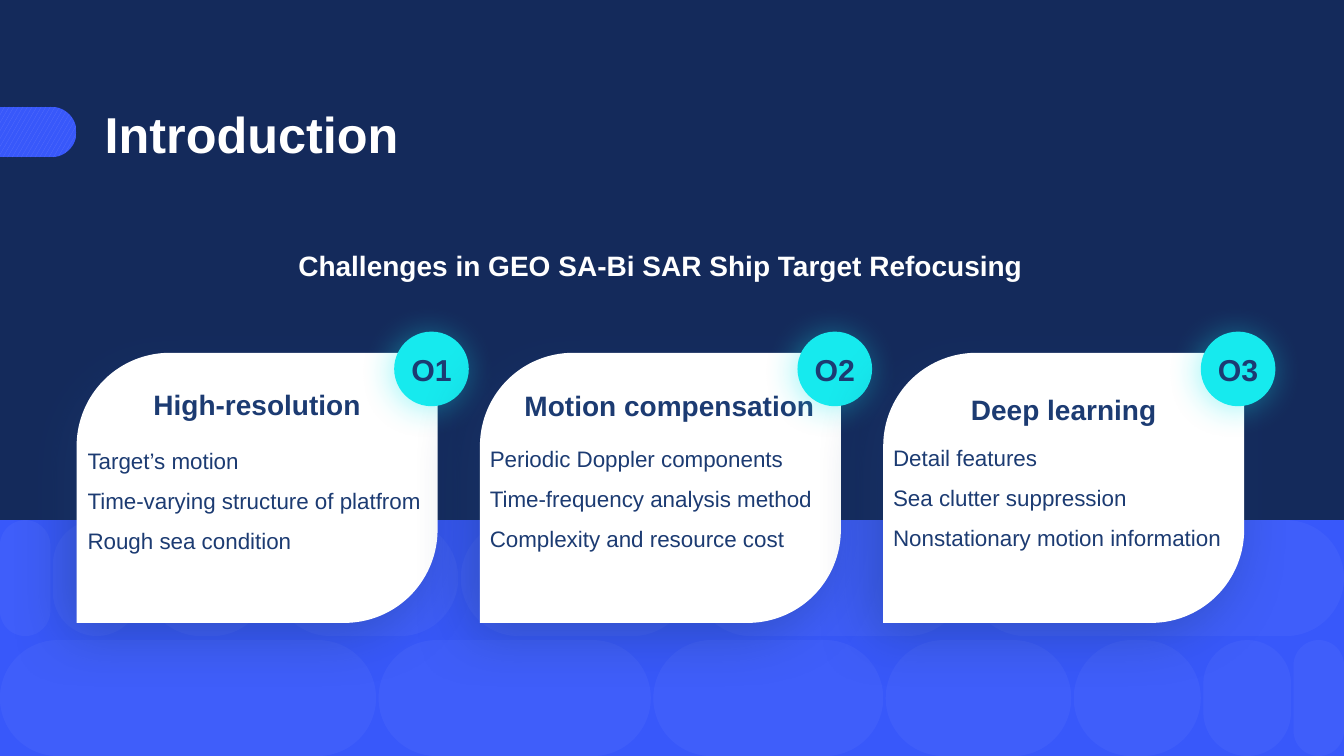
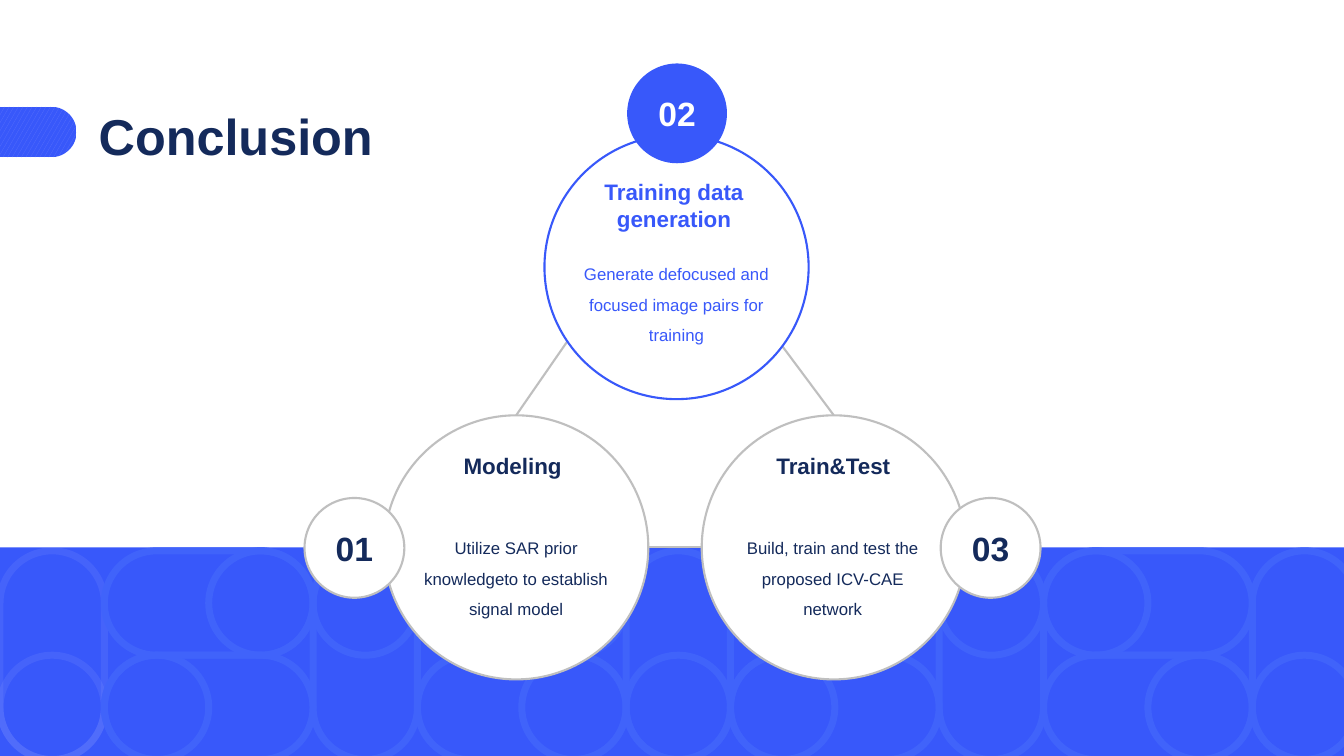
from math import cos, pi, sin

from lxml import etree
from pptx import Presentation
from pptx.dml.color import RGBColor
from pptx.enum.dml import MSO_PATTERN
from pptx.enum.shapes import MSO_CONNECTOR, MSO_SHAPE
from pptx.enum.text import MSO_ANCHOR, PP_ALIGN
from pptx.oxml.ns import qn
from pptx.util import Inches, Pt

RECT = MSO_SHAPE.RECTANGLE
PILL = MSO_SHAPE.ROUNDED_RECTANGLE
CIRCLE = MSO_SHAPE.OVAL
LEAF = MSO_SHAPE.ROUND_2_DIAG_RECTANGLE
STRAIGHT = MSO_CONNECTOR.STRAIGHT
CONFETTI = MSO_PATTERN.LARGE_CONFETTI
LEFT, CENTER = PP_ALIGN.LEFT, PP_ALIGN.CENTER
TOP, MIDDLE = MSO_ANCHOR.TOP, MSO_ANCHOR.MIDDLE

NAVY = RGBColor(0x14, 0x2A, 0x5B)
INK = RGBColor(0x1C, 0x3B, 0x72)
BLUE = RGBColor(0x38, 0x58, 0xFA)
LIGHT_BLUE = RGBColor(0x5C, 0x73, 0xFB)
RING = RGBColor(0x40, 0x63, 0xFA)
PALE_RING = RGBColor(0x88, 0x9B, 0xFC)
CYAN = RGBColor(0x16, 0xEA, 0xEE)
GRAY = RGBColor(0xBF, 0xBF, 0xBF)
WHITE = RGBColor(0xFF, 0xFF, 0xFF)

FONT = "Arial"
SLIDE_W, SLIDE_H = 13.33, 7.5


def set_alpha(element, percent):
    for color in element.iter(qn("a:srgbClr")):
        etree.SubElement(color, qn("a:alpha"), val=str(percent * 1000))


def add_shadow(sp, color, blur, distance):
    effects = sp._element.spPr.find(qn("a:effectLst"))
    shadow = etree.SubElement(
        effects, qn("a:outerShdw"), blurRad=str(Pt(blur)), dist=str(Pt(distance)),
        dir=str(135 * 60000), algn="tr", rotWithShape="0")
    etree.SubElement(shadow, qn("a:srgbClr"), val=str(color))
    set_alpha(shadow, 40)


def paint(sp, fill=None, line=None, width=1.5):
    sp.shadow.inherit = False
    if fill is None:
        sp.fill.background()
    else:
        sp.fill.solid()
        sp.fill.fore_color.rgb = fill
    if line is None:
        sp.line.fill.background()
    else:
        sp.line.color.rgb = line
        sp.line.width = Pt(width)


def add_box(s, kind, x, y, w, h, adj=(), **style):
    sp = s.shapes.add_shape(kind, Inches(x), Inches(y), Inches(w), Inches(h))
    for i, value in enumerate(adj):
        sp.adjustments[i] = value
    paint(sp, **style)
    return sp


def write(tf, lines, size, color, bold=False, align=LEFT, spacing=None, anchor=TOP):
    tf.word_wrap = True
    tf.vertical_anchor = anchor
    for i, line in enumerate(lines):
        p = tf.paragraphs[0] if i == 0 else tf.add_paragraph()
        p.alignment = align
        if spacing:
            p.line_spacing = spacing
        r = p.add_run()
        r.text = line
        r.font.name = FONT
        r.font.size = Pt(size)
        r.font.bold = bold
        r.font.color.rgb = color


def add_text(s, x, y, w, h, lines, **style):
    sp = s.shapes.add_textbox(Inches(x), Inches(y), Inches(w), Inches(h))
    write(sp.text_frame, lines, **style)


def add_badge(s, x, y, diameter, label, size, color, **style):
    sp = add_box(s, CIRCLE, x, y, diameter, diameter, **style)
    tf = sp.text_frame
    tf.margin_left = tf.margin_right = 0
    write(tf, [label], size=size, color=color, bold=True, align=CENTER, anchor=MIDDLE)
    return sp


def add_link(s, start, end, target=None):
    line = s.shapes.add_connector(STRAIGHT, *(Inches(v) for v in start + end))
    if target is not None:
        line.end_connect(target, 0)
    line.line.color.rgb = GRAY
    line.line.width = Pt(1.5)
    etree.SubElement(line._element.spPr, qn("a:effectLst"))


def add_marker(s):
    cx, cy, radius, steps = 0.51, 1.31, 0.25, 32
    angles = [pi * i / steps - pi / 2 for i in range(steps + 1)]
    arc = [(Inches(cx + radius * cos(a)), Inches(cy + radius * sin(a))) for a in angles]
    builder = s.shapes.build_freeform(0, Inches(cy - radius))
    builder.add_line_segments(arc + [(0, Inches(cy + radius))], close=True)
    sp = builder.convert_to_shape()
    paint(sp, fill=BLUE)
    sp.fill.patterned()
    sp.fill.pattern = CONFETTI
    sp.fill.fore_color.rgb = LIGHT_BLUE
    sp.fill.back_color.rgb = BLUE


def start_slide(prs, background, band_top, title, title_x, title_y, title_color):
    s = prs.slides.add_slide(prs.slide_layouts[6])
    s.background.fill.solid()
    s.background.fill.fore_color.rgb = background
    add_box(s, RECT, 0, band_top, SLIDE_W, SLIDE_H - band_top, fill=BLUE)
    add_marker(s)
    add_text(s, title_x, title_y, 4.44, 0.79, [title], size=36, color=title_color, bold=True)
    return s


def add_pill_rows(s):
    widths = [3.73, 2.7, 2.28, 1.84, 1.26, 0.87, 0.5]
    gap = (SLIDE_W - sum(widths)) / (len(widths) - 1)
    for y, row in ((5.16, widths[::-1]), (6.35, widths)):
        x = 0
        for w in row:
            sp = add_box(s, PILL, x, y, w, 1.15, adj=[0.5], fill=WHITE)
            set_alpha(sp._element.spPr, 4)
            x += w + gap


def add_ring_pattern(s):
    unit, top = 1.035, 5.465
    cycle = [
        [(0, 0, 1, 2), (0, 1, 1, 1)],
        [(0, 1, 2, 1), (0, 1, 1, 1), (0, 0, 2, 1), (1, 0, 1, 1)],
        [],
        [(0, 0, 1, 2), (0, 0, 1, 1)],
        [(0, 0, 2, 1), (0, 0, 1, 1), (0, 1, 2, 1), (1, 1, 1, 1)],
        [],
    ]
    for column in range(13):
        for dx, dy, w, h in cycle[column % len(cycle)]:
            kind, adj = (CIRCLE, []) if w == h else (PILL, [0.5])
            sp = add_box(s, kind, (column + dx) * unit, top + dy * unit, w * unit, h * unit,
                         adj=adj, line=RING if column else PALE_RING, width=5)
            if column == 0:
                set_alpha(sp._element.spPr, 17)


def add_card(s, x, label, title, title_y, title_w, lines, body_x, body_y):
    card = add_box(s, LEAF, x, 3.5, 3.58, 2.68, adj=[0.345, 0], fill=WHITE)
    add_shadow(card, INK, 41, 11)
    add_text(s, x + 0.27, title_y, title_w, 0.45, [title],
             size=20, color=INK, bold=True, align=CENTER)
    add_text(s, body_x, body_y, 3.6, 1.39, lines, size=16, color=INK, spacing=1.5)
    badge = add_badge(s, x + 3.15, 3.29, 0.74, label, 21.6, INK, fill=CYAN)
    add_shadow(badge, CYAN, 24, 3)


def add_stage_text(s, color, title, title_x, title_y, body, body_x, body_y):
    add_text(s, title_x, title_y, 1.71, 0.37 if len(title) == 1 else 0.64, title,
             size=16, color=color, bold=True, align=CENTER)
    add_text(s, body_x, body_y, 2.1, 1.06, [body],
             size=12, color=color, align=CENTER, spacing=1.5)


def build_introduction(prs):
    s = start_slide(prs, NAVY, 5.16, "Introduction", 0.94, 0.97, WHITE)
    add_pill_rows(s)
    add_text(s, 2.86, 2.25, 7.39, 0.7, ["Challenges in GEO SA-Bi SAR Ship Target Refocusing"],
             size=20, color=WHITE, bold=True, spacing=1.5)
    cards = [
        ("High-resolution", 3.79, 3.04,
         ["Target’s motion", "Time-varying structure of platfrom", "Rough sea condition"],
         0.77, 4.25),
        ("Motion compensation", 3.8, 3.22,
         ["Periodic Doppler components", "Time-frequency analysis method",
          "Complexity and resource cost"],
         4.76, 4.23),
        ("Deep learning", 3.84, 3.04,
         ["Detail features", "Sea clutter suppression", "Nonstationary motion information"],
         8.76, 4.22),
    ]
    for i, card in enumerate(cards):
        add_card(s, 0.76 + 4 * i, f"O{i + 1}", *card)


def build_conclusion(prs):
    s = start_slide(prs, WHITE, 5.43, "Conclusion", 0.88, 0.99, NAVY)
    add_ring_pattern(s)
    size = 2.62
    modeling, testing = (
        add_box(s, CIRCLE, x, 4.12, size, size, fill=WHITE, line=GRAY) for x in (3.81, 6.96))
    add_link(s, (5.77, 3.18), (5.12, 4.12), modeling)
    add_link(s, (7.57, 3.18), (8.27, 4.12), testing)
    add_link(s, (6.96, 5.43), (6.43, 5.43))
    add_box(s, CIRCLE, 5.4, 1.34, size, size, fill=WHITE, line=BLUE)
    add_badge(s, 3.02, 4.94, 0.99, "01", 24, NAVY, fill=WHITE, line=GRAY)
    add_badge(s, 6.22, 0.63, 0.99, "02", 24, WHITE, fill=BLUE)
    add_badge(s, 9.33, 4.94, 0.99, "03", 24, NAVY, fill=WHITE, line=GRAY)
    add_stage_text(s, NAVY, ["Modeling"], 4.23, 4.44,
                   "Utilize SAR prior knowledgeto to establish signal model", 4.07, 5.19)
    add_stage_text(s, BLUE, ["Training data", "generation"], 5.83, 1.72,
                   "Generate defocused and focused image pairs for training", 5.66, 2.47)
    add_stage_text(s, NAVY, ["Train&Test"], 7.41, 4.44,
                   "Build, train and test the proposed ICV-CAE network", 7.21, 5.19)


def main():
    prs = Presentation()
    prs.slide_width = Inches(SLIDE_W)
    prs.slide_height = Inches(SLIDE_H)
    build_introduction(prs)
    build_conclusion(prs)
    prs.save("out.pptx")


if __name__ == "__main__":
    main()
